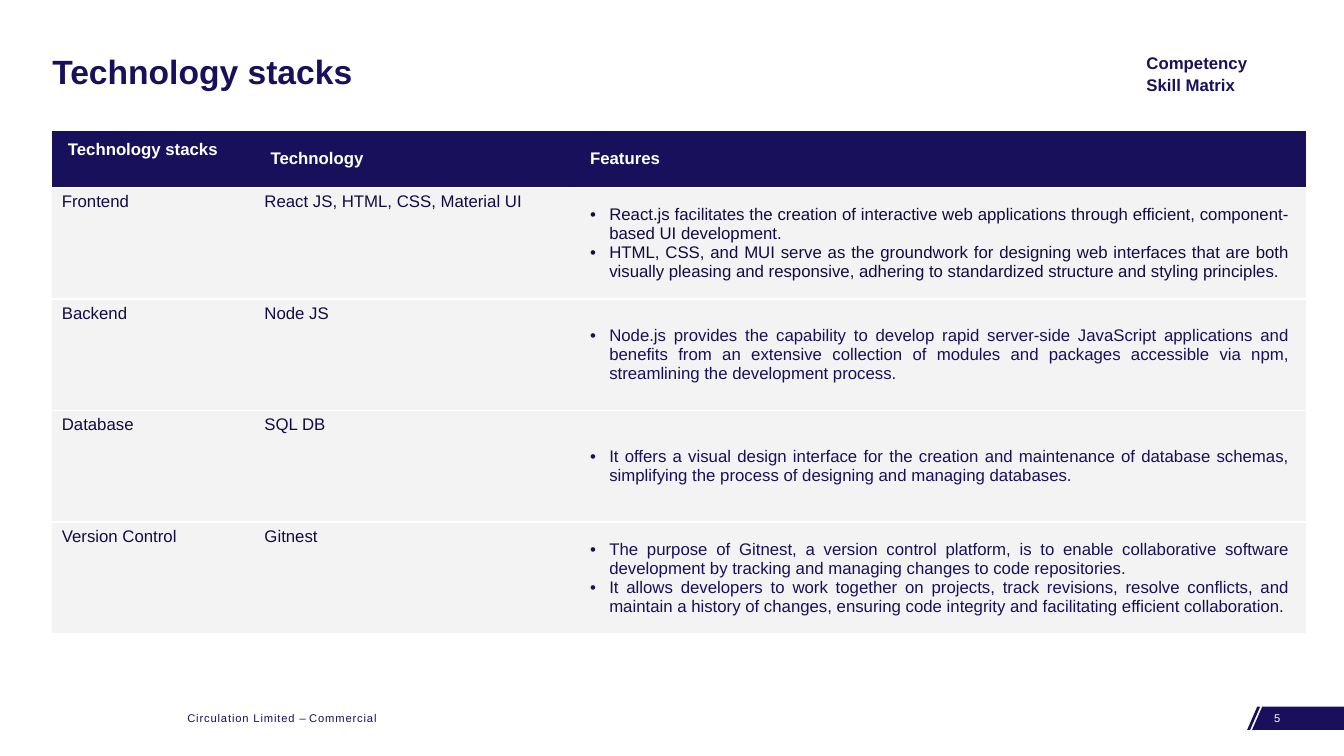
from dataclasses import dataclass

from lxml import etree
from pptx import Presentation
from pptx.dml.color import RGBColor
from pptx.enum.text import MSO_ANCHOR, PP_ALIGN
from pptx.oxml.ns import qn
from pptx.util import Inches, Pt

TOP, MIDDLE = MSO_ANCHOR.TOP, MSO_ANCHOR.MIDDLE
JUSTIFY = PP_ALIGN.JUSTIFY
WIDTH, HEIGHT = Inches(13.33), Inches(7.5)


@dataclass(frozen=True)
class Theme:
    font: str = "Arial"
    navy: str = "19105B"
    ribbon: str = "1A0F5C"
    ink: str = "130C44"
    tint: str = "1D1C1C"
    white: str = "FFFFFF"
    title: int = 24
    body: int = 12
    small: int = 8


THEME = Theme()
HEADINGS = ["Technology stacks", "Technology", "Features"]
# Layer, technology, colour of the features, features
STACKS = [
    ("Frontend", "React JS, HTML, CSS, Material UI", THEME.ink, [
        "React.js facilitates the creation of interactive web applications through "
        "efficient, component-based UI development.",
        "HTML, CSS, and MUI serve as the groundwork for designing web interfaces that "
        "are both visually pleasing and responsive, adhering to standardized structure "
        "and styling principles."]),
    ("Backend", "Node JS", THEME.navy, [
        "Node.js provides the capability to develop rapid server-side JavaScript "
        "applications and benefits from an extensive collection of modules and packages "
        "accessible via npm, streamlining the development process."]),
    ("Database", "SQL DB", THEME.navy, [
        "It offers a visual design interface for the creation and maintenance of "
        "database schemas, simplifying the process of designing and managing "
        "databases."]),
    ("Version Control", "Gitnest", THEME.navy, [
        "The purpose of Gitnest, a version control platform, is to enable collaborative "
        "software development by tracking and managing changes to code repositories.",
        "It allows developers to work together on projects, track revisions, resolve "
        "conflicts, and maintain a history of changes, ensuring code integrity and "
        "facilitating efficient collaboration."]),
]


# The page is a grid of 100 columns by 100 rows
def across(columns):
    return round(WIDTH * columns / 100)


def down(rows):
    return round(HEIGHT * rows / 100)


def apply(target, formats):
    for name, value in formats.items():
        setattr(target, name, value)


def insets(side, upright):
    return {"margin_left": Inches(side), "margin_right": Inches(side),
            "margin_top": Inches(upright), "margin_bottom": Inches(upright)}


def add_span(para, text, color, size, bold=False, spacing=0):
    span = para.add_run()
    span.text = text
    apply(span.font, {"name": THEME.font, "size": Pt(size), "bold": bold})
    span.font.color.rgb = RGBColor.from_string(color)
    if spacing:
        span.font._element.set("spc", str(spacing))


def add_label(page, area, spans, color, size, bold=False, frame=None, para=None):
    left, top, width, height = area
    box = page.shapes.add_textbox(across(left), down(top), across(width), down(height))
    apply(box.text_frame, {"word_wrap": True, **(frame or {})})
    line = box.text_frame.paragraphs[0]
    apply(line, para or {})
    for text, spacing in spans:
        add_span(line, text, color, size, bold, spacing)


def add_bullet(para):
    props = para._p.get_or_add_pPr()
    props.set("marL", str(Inches(0.19)))
    props.set("indent", str(-Inches(0.19)))
    etree.SubElement(props, qn("a:buFont"), typeface=THEME.font)
    etree.SubElement(props, qn("a:buChar"), char="•")


def rule_cell(cell):
    """White rules above and below, none at the sides."""
    props = cell._tc.get_or_add_tcPr()
    for place, side in enumerate(["lnL", "lnR", "lnT", "lnB"]):
        line = etree.Element(qn(f"a:{side}"), w=str(Pt(1.5)))
        if side in ("lnT", "lnB"):
            fill = etree.SubElement(line, qn("a:solidFill"))
            etree.SubElement(fill, qn("a:srgbClr"), val=THEME.white)
        else:
            etree.SubElement(line, qn("a:noFill"))
        props.insert(place, line)


def fill_cell(cell, texts, color, fill, opacity=100, bold=False, bullets=False,
              formats=None):
    cell.fill.solid()
    cell.fill.fore_color.rgb = RGBColor.from_string(fill)
    if opacity < 100:
        shade = cell._tc.tcPr.find(".//" + qn("a:srgbClr"))
        etree.SubElement(shade, qn("a:alpha"), val=str(opacity * 1000))
    rule_cell(cell)
    apply(cell, formats or {})
    for index, text in enumerate(texts):
        frame = cell.text_frame
        para = frame.add_paragraph() if index else frame.paragraphs[0]
        add_span(para, text, color, THEME.body, bold)
        if bullets:
            para.alignment = JUSTIFY
            add_bullet(para)


def add_stack_table(page):
    widths = [15.08, 23.78, 54.46]
    heights = [7.6] + [14.76] * len(STACKS)
    table = page.shapes.add_table(
        len(heights), len(widths), across(3.85), down(17.2),
        across(sum(widths)), down(sum(heights))).table
    apply(table, {"first_row": False, "horz_banding": False})
    for column, width in zip(table.columns, widths):
        column.width = across(width)
    for row, height in zip(table.rows, heights):
        row.height = down(height)

    # Header row: the first heading sits at the top
    roomy = {"vertical_anchor": MIDDLE, **insets(0.16, 0.1)}
    for index, heading in enumerate(HEADINGS):
        anchor = MIDDLE if index else TOP
        fill_cell(table.cell(0, index), [heading], THEME.white, THEME.navy, bold=True,
                  formats={**roomy, "vertical_anchor": anchor})

    # One row per stack
    for row, (layer, technology, color, features) in enumerate(STACKS, 1):
        for column, text in enumerate([layer, technology]):
            fill_cell(table.cell(row, column), [text], THEME.ink, THEME.tint, 5)
        fill_cell(table.cell(row, 2), features, color, THEME.tint, 5,
                  bullets=True, formats=roomy)


def add_ribbon(page):
    """A slanted stripe and a slanted band that runs to the page edge."""
    top, bottom, slant = down(93.47), down(96.53), 0.75
    outlines = []
    for left, right, lean in [(92.8, 93.02, slant), (93.17, 100, 0)]:
        outlines.append([(across(left + slant), top), (across(left), bottom),
                         (across(right), bottom), (across(right + lean), top)])
    stripe, band = outlines
    builder = page.shapes.build_freeform(*stripe[0])
    builder.add_line_segments(stripe[1:], close=True)
    builder.move_to(*band[0])
    builder.add_line_segments(band[1:], close=True)
    ribbon = builder.convert_to_shape()
    ribbon.shadow.inherit = False
    ribbon.fill.solid()
    ribbon.fill.fore_color.rgb = RGBColor.from_string(THEME.ribbon)
    ribbon.line.fill.background()


def main():
    deck = Presentation()
    apply(deck, {"slide_width": WIDTH, "slide_height": HEIGHT})
    page = deck.slides.add_slide(deck.slide_layouts[6])

    # Footer
    add_ribbon(page)
    add_label(page, (13.2, 93.47, 16.43, 3.2),
              [("Circulation Limited ", 60), ("– ", 0), ("Commercial", 60)],
              THEME.navy, THEME.small)
    add_label(page, (94.07, 93.47, 4.65, 3.2), [("5", 0)], THEME.white, THEME.small)

    # Title, table and section tag
    add_label(page, (3.15, 2.67, 93.77, 14), [("Technology stacks", 0)],
              THEME.navy, THEME.title, True,
              {"vertical_anchor": MIDDLE}, {"line_spacing": 0.9})
    add_stack_table(page)
    add_label(page, (85, 4.67, 10.8, 10), [("Competency Skill Matrix", 0)],
              THEME.navy, THEME.body, True,
              {"vertical_anchor": MIDDLE, **insets(0.04, 0.04)},
              {"line_spacing": 1.1, "space_before": Pt(2), "space_after": Pt(2)})

    deck.save("out.pptx")


if __name__ == "__main__":
    main()
